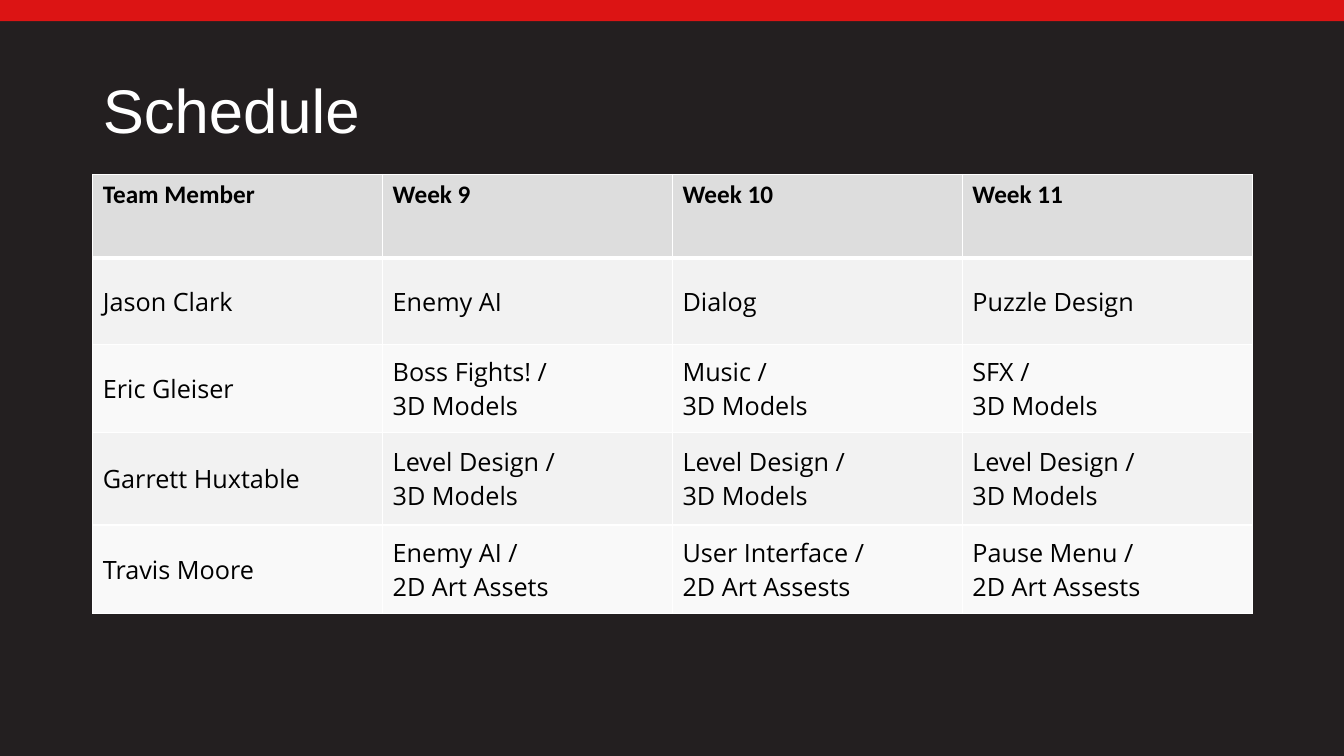
"""Build the team schedule slide."""
from lxml import etree
from pptx import Presentation
from pptx import util as u
from pptx.dml.color import RGBColor
from pptx.enum import shapes, text
from pptx.oxml.ns import qn

TITLE = "Schedule"
ROWS = [
    ("Team Member", "Week 9", "Week 10", "Week 11"),
    ("Jason Clark", "Enemy AI", "Dialog", "Puzzle Design"),
    ("Eric Gleiser", "Boss Fights! /\n3D Models", "Music /\n3D Models", "SFX /\n3D Models"),
    ("Garrett Huxtable",) + ("Level Design /\n3D Models",) * 3,
    ("Travis Moore", "Enemy AI /\n2D Art Assets", "User Interface /\n2D Art Assests",
     "Pause Menu /\n2D Art Assests"),
]
ROW_HEIGHTS = [0.83, 0.86, 0.87, 0.92, 0.88]
LEFT, WIDTH, TABLE_TOP = 0.92, 11.5, 1.73
COLORS = {
    "background": "231F20", "accent": "DC1414", "white": "FFFFFF", "black": "000000",
    "header": "DDDDDD", "odd": "F2F2F2", "even": "F9F9F9",
}


def color(name):
    return RGBColor.from_string(COLORS[name])


def style_text(para, font, size, shade, bold=False):
    for span in para.runs:
        span.font.name = font
        span.font.size = u.Pt(size)
        span.font.bold = bold
        span.font.color.rgb = color(shade)


def set_borders(cell, widths):
    properties = cell._tc.get_or_add_tcPr()
    for side, width in widths.items():
        line = etree.SubElement(properties, qn(f"a:ln{side}"), w=str(u.Pt(width)))
        fill = etree.SubElement(line, qn("a:solidFill"))
        etree.SubElement(fill, qn("a:srgbClr"), val=COLORS["white"])


def add_title(page):
    title = page.shapes.title
    title.left, title.top = u.Inches(LEFT), u.Inches(0.4)
    title.width, title.height = u.Inches(WIDTH), u.Inches(1.45)
    frame = title.text_frame
    frame.text = TITLE
    frame.vertical_anchor = text.MSO_ANCHOR.MIDDLE
    para = frame.paragraphs[0]
    para.alignment = text.PP_ALIGN.LEFT
    para.line_spacing = 0.9
    style_text(para, "Arial", 44, "white")


def add_schedule(page):
    table = page.shapes.add_table(
        len(ROWS), len(ROWS[0]), u.Inches(LEFT), u.Inches(TABLE_TOP),
        u.Inches(WIDTH), u.Inches(sum(ROW_HEIGHTS))).table
    for row, (height, entries) in enumerate(zip(ROW_HEIGHTS, ROWS)):
        table.rows[row].height = u.Inches(height)
        header = row == 0
        shade = "header" if header else "odd" if row % 2 else "even"
        for column, entry in enumerate(entries):
            cell = table.cell(row, column)
            cell.text = entry
            cell.vertical_anchor = text.MSO_ANCHOR.TOP if header else text.MSO_ANCHOR.MIDDLE
            set_borders(cell, {"L": 1, "R": 1, "T": 3 if row == 1 else 1, "B": 3 if header else 1})
            cell.fill.solid()
            cell.fill.fore_color.rgb = color(shade)
            for para in cell.text_frame.paragraphs:
                style_text(para, "Calibri" if header else "Open Sans", 18, "black", header)


def add_top_bar(page, width):
    bar = page.shapes.add_shape(
        shapes.MSO_SHAPE.RECTANGLE, 0, 0, width, u.Inches(0.21))
    bar.shadow.inherit = False
    bar.fill.solid()
    bar.fill.fore_color.rgb = color("accent")
    bar.line.fill.background()


def main():
    deck = Presentation()
    deck.slide_width, deck.slide_height = u.Inches(13.33), u.Inches(7.5)
    page = deck.slides.add_slide(deck.slide_layouts[5])
    page.background.fill.solid()
    page.background.fill.fore_color.rgb = color("background")
    add_title(page)
    add_schedule(page)
    add_top_bar(page, deck.slide_width)
    deck.save("out.pptx")


if __name__ == "__main__":
    main()
